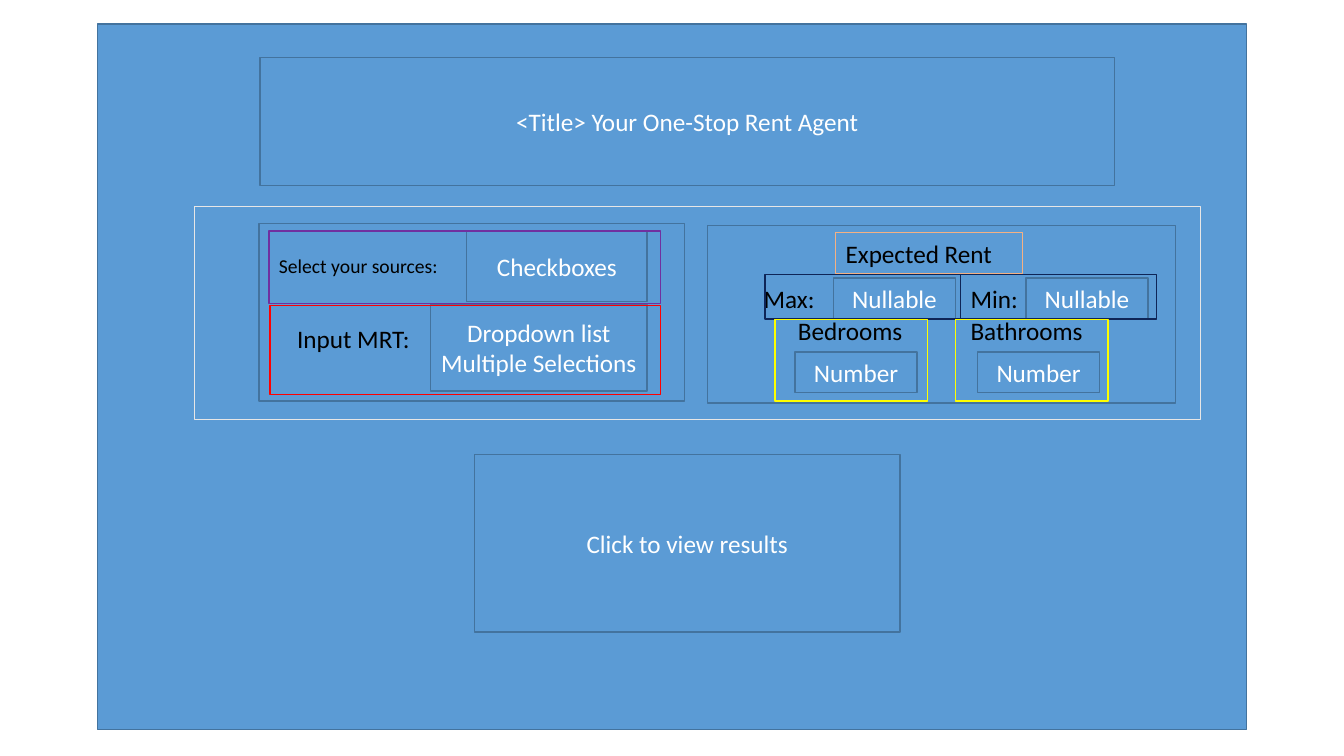
import pptx
import pptx.util
import pptx.dml.color
import pptx.enum.shapes
import pptx.enum.text

Cm = pptx.util.Cm
BLUE, EDGE = "5B9BD5", "43739E"
NAVY, YELLOW = "0E2557", "FFFF00"


def colour(code):
    return pptx.dml.color.RGBColor.from_string(code)


def write(box, text, code, size, align, anchor):
    frame = box.text_frame
    frame.word_wrap = True
    frame.vertical_anchor = anchor
    frame.text = text
    for para in frame.paragraphs:
        para.alignment = align
        para.font.name = "Calibri"
        para.font.size = pptx.util.Pt(size)
        para.font.color.rgb = colour(code)


def add_block(page, left, top, width, height, text="", fill=BLUE, edge=EDGE, weight=1):
    """Rectangle with optional centred white text; fill None gives an outline."""
    box = page.shapes.add_shape(pptx.enum.shapes.MSO_SHAPE.RECTANGLE,
                                Cm(left), Cm(top), Cm(width), Cm(height))
    box.shadow.inherit = False
    if fill:
        box.fill.solid()
        box.fill.fore_color.rgb = colour(fill)
    else:
        box.fill.background()
    box.line.color.rgb = colour(edge)
    box.line.width = pptx.util.Pt(weight)
    if text:
        write(box, text, "FFFFFF", 18, pptx.enum.text.PP_ALIGN.CENTER,
              pptx.enum.text.MSO_ANCHOR.MIDDLE)
    return box


def add_outline(page, left, top, width, height, edge, weight=1):
    return add_block(page, left, top, width, height, fill=None, edge=edge, weight=weight)


def add_label(page, left, top, width, text, size=18, height=1.02):
    box = page.shapes.add_textbox(Cm(left), Cm(top), Cm(width), Cm(height))
    write(box, text, "000000", size, pptx.enum.text.PP_ALIGN.LEFT,
          pptx.enum.text.MSO_ANCHOR.TOP)


def add_source_panel(page, left, top, width, height):
    add_block(page, left, top, width, height)
    # Source checkboxes
    add_label(page, left + 0.25, top + 0.64, 4.65, "Select your sources:", 14, 0.86)
    add_block(page, left + 5.23, top + 0.18, 4.55, 1.78, "Checkboxes")
    add_outline(page, left + 0.25, top + 0.18, 9.86, 1.83, "7030A0")
    # Station dropdown
    add_label(page, left + 0.71, top + 2.39, 3.4, "Input MRT:")
    add_block(page, left + 4.32, top + 2.03, 5.46, 2.18,
              "Dropdown list\nMultiple Selections")
    add_outline(page, left + 0.28, top + 2.06, 9.83, 2.24, "FF0000")


def add_rent_panel(page, left, top, width, height):
    add_block(page, left, top, width, height)
    # Heading
    add_outline(page, left + 3.23, top + 0.18, 4.72, 1.02, "F4B183", 0.75)
    add_label(page, left + 3.23, top + 0.18, 4.72, "Expected Rent")
    # Rent limits: label, field and frame offsets
    for text, label, field, frame in ((" Max:", 1.02, 3.18, 1.45),
                                      ("Min:", 6.38, 8.03, 6.38)):
        add_label(page, left + label, top + 1.32, 3.43, text)
        add_block(page, left + field, top + 1.32, 3.07, 1.02, "Nullable")
        add_outline(page, left + frame, top + 1.23, 4.93, 1.12, NAVY)
    # Room counts: label, field and frame offsets
    for text, label, field, frame in (("Bedrooms", 2.03, 2.21, 1.7),
                                      ("Bathrooms", 6.38, 6.81, 6.25)):
        add_label(page, left + label, top + 2.13, 3.5, text)
        add_block(page, left + field, top + 3.18, 3.07, 1.02, "Number")
        add_outline(page, left + frame, top + 2.36, 3.84, 2.06, YELLOW)


def add_search_area(page, left, top, width, height):
    add_source_panel(page, left + 1.63, top + 0.43, 10.72, 4.47)
    add_rent_panel(page, left + 12.93, top + 0.48, 11.79, 4.47)
    add_outline(page, left, top, width, height, "E7E6E6")


def main():
    deck = pptx.Presentation()
    deck.slide_width, deck.slide_height = Cm(33.87), Cm(19.05)
    page = deck.slides.add_slide(deck.slide_layouts[6])
    # Screen background and title
    add_block(page, 2.46, 0.61, 28.96, 17.78)
    add_block(page, 6.55, 1.45, 21.54, 3.23, "<Title> Your One-Stop Rent Agent")
    # Search area and results button
    add_search_area(page, 4.9, 5.21, 25.35, 5.36)
    add_block(page, 11.96, 11.46, 10.72, 4.47, "Click to view results")
    deck.save("out.pptx")


if __name__ == "__main__":
    main()
